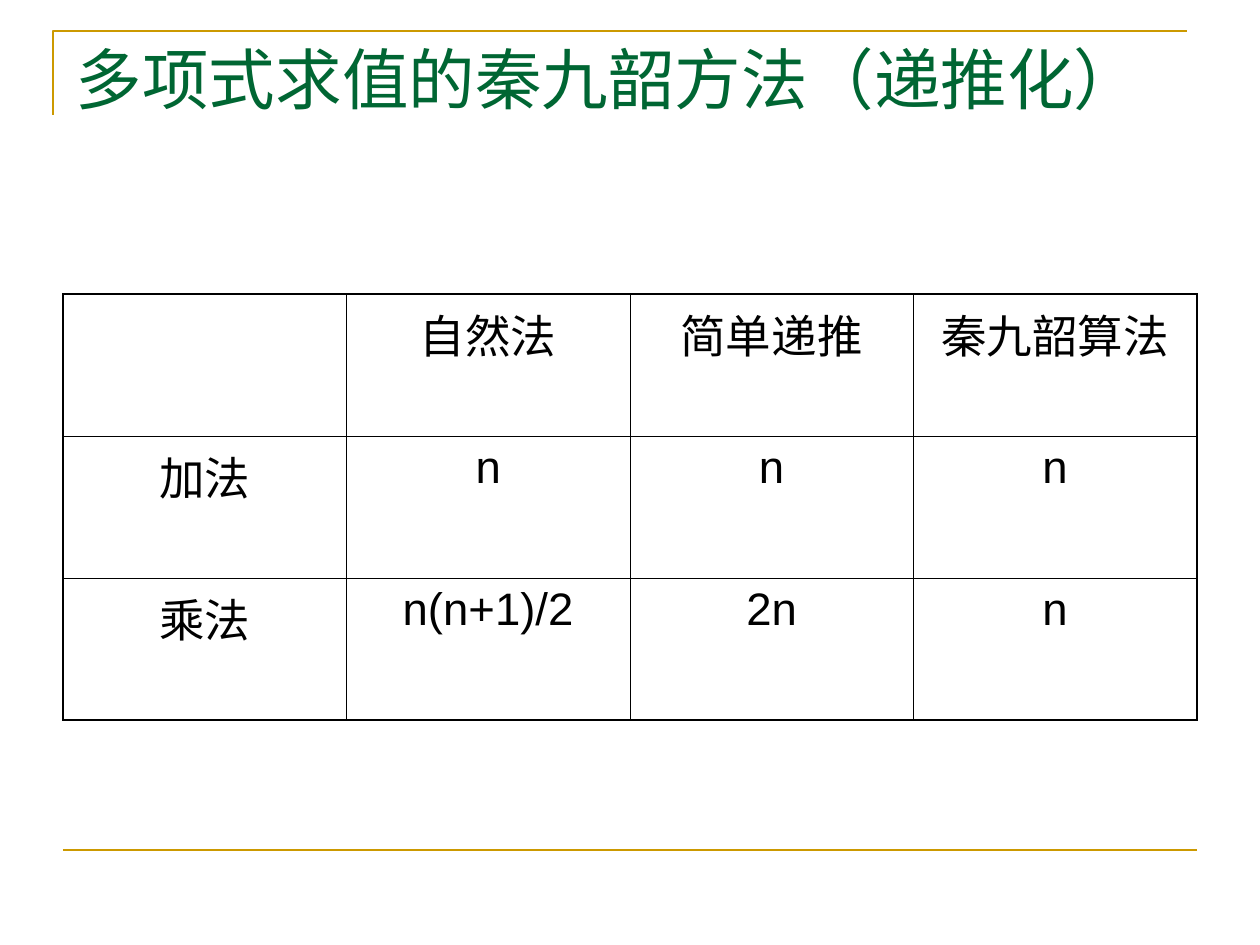
from lxml.etree import SubElement
from pptx import Presentation
from pptx.dml.color import RGBColor
from pptx.enum.shapes import MSO_CONNECTOR
from pptx.enum.text import MSO_ANCHOR, PP_ALIGN
from pptx.oxml.ns import qn
from pptx.util import Emu, Pt

SCALE = 914400 // 126
GOLD, GREEN, BLACK = "CC9900", "006633", "000000"
ROWS = [
    ["", "自然法", "简单递推", "秦九韶算法"],
    ["加法", "n", "n", "n"],
    ["乘法", "n(n+1)/2", "2n", "n"],
]


def px(n):
    """Turn whole pixels into EMU."""
    return Emu(n * SCALE)


def color(value):
    """Turn a hex string into a colour."""
    return RGBColor.from_string(value)


def style_line(sp):
    """Give a shape or connector the gold rule line without a shadow."""
    sp.line.color.rgb = color(GOLD)
    sp.line.width = Pt(1.5)


def add_run(p, text, font, size, fill):
    """Add one styled run to a paragraph."""
    r = p.add_run()
    r.text = text
    r.font.name = font
    r.font.size = Pt(size)
    r.font.color.rgb = color(fill)


def add_corner(s, x, y, w, h):
    """Draw the open corner rule along the left and top of its box."""
    builder = s.shapes.build_freeform(px(x), px(y + h))
    builder.add_line_segments([(px(x), px(y)), (px(x + w), px(y))], close=False)
    sp = builder.convert_to_shape()
    sp.shadow.inherit = False
    sp.fill.background()
    style_line(sp)


def add_footer_rule(s, x, y, w):
    """Draw the horizontal rule at the foot of the slide."""
    sp = s.shapes.add_connector(MSO_CONNECTOR.STRAIGHT, px(x), px(y), px(x + w), px(y))
    style_line(sp)
    SubElement(sp._element.spPr, qn("a:effectLst"))


def add_title(s, x, y, w, h, text):
    """Place the heading at the top of its box."""
    tf = s.shapes.add_textbox(px(x), px(y), px(w), px(h)).text_frame
    tf.word_wrap = True
    tf.vertical_anchor = MSO_ANCHOR.TOP
    tf.margin_left = tf.margin_right = px(13)
    tf.margin_top = tf.margin_bottom = 0
    add_run(tf.paragraphs[0], text, "Times New Roman", 38, GREEN)


def set_borders(cell, widths):
    """Set the cell borders from widths in points, left, right, top, bottom."""
    tc_pr = cell._tc.get_or_add_tcPr()
    for i, (side, width) in enumerate(zip(("lnL", "lnR", "lnT", "lnB"), widths)):
        ln = tc_pr.makeelement(qn(f"a:{side}"), {"w": str(Pt(width))})
        fill = SubElement(ln, qn("a:solidFill"))
        SubElement(fill, qn("a:srgbClr"), val=BLACK)
        tc_pr.insert(i, ln)


def add_cost_table(s, x, y, w, h, rows):
    """Place the operation count table with a heavier outer border."""
    n_rows, n_cols = len(rows), len(rows[0])
    table = s.shapes.add_table(n_rows, n_cols, px(x), px(y), px(w), px(h)).table
    table.first_row = table.horz_banding = False
    for col in table.columns:
        col.width = px(w) // n_cols
    for i, values in enumerate(rows):
        table.rows[i].height = px(h) // n_rows
        for j, value in enumerate(values):
            cell = table.cell(i, j)
            cell.fill.background()
            outer = (j == 0, j == n_cols - 1, i == 0, i == n_rows - 1)
            set_borders(cell, [1.08 if edge else 0.45 for edge in outer])
            p = cell.text_frame.paragraphs[0]
            p.alignment = PP_ALIGN.CENTER
            if value:
                add_run(p, value, "Arial", 26, BLACK)


def main():
    """Build the slide and save it."""
    prs = Presentation()
    prs.slide_width, prs.slide_height = px(1260), px(945)
    s = prs.slides.add_slide(prs.slide_layouts[6])
    add_corner(s, 53, 31, 1134, 84)
    add_footer_rule(s, 63, 850, 1134)
    add_title(s, 63, 38, 1134, 157, "多项式求值的秦九韶方法（递推化）")
    add_cost_table(s, 63, 294, 1134, 426, ROWS)
    prs.save("out.pptx")


if __name__ == "__main__":
    main()
